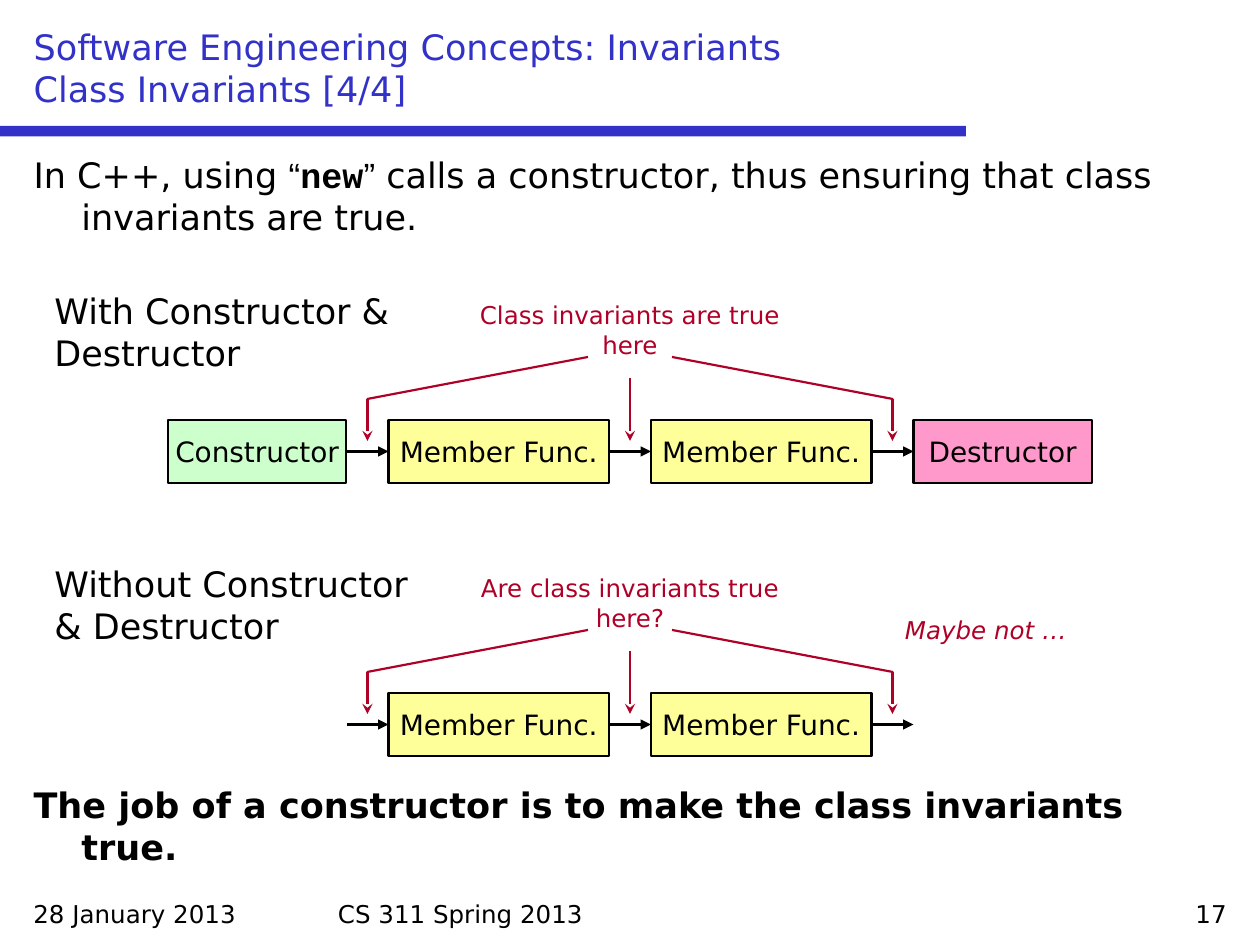
from collections import namedtuple
from dataclasses import dataclass

from lxml.etree import SubElement
from pptx import Presentation
from pptx.dml.color import RGBColor
from pptx.enum.shapes import MSO_CONNECTOR, MSO_SHAPE
from pptx.enum.text import MSO_ANCHOR, MSO_AUTO_SIZE, PP_ALIGN
from pptx.oxml.ns import qn
from pptx.util import Inches, Pt

CELL = Inches(1) / 12  # the slide is a grid of 120 columns by 90 rows
Box = namedtuple("Box", "left top width height")


@dataclass(frozen=True)
class Theme:
    font: str = "DejaVu Sans"
    quote_font: str = "Arial"
    code_font: str = "Courier New"
    heading: str = "3232C8"
    ink: str = "000000"
    accent: str = "AF0028"
    constructor: str = "CCFFCC"
    member: str = "FFFF99"
    destructor: str = "FF99CC"
    large: int = 20
    medium: int = 16
    small: int = 14
    line: float = 1.25


THEME = Theme()


def cells(*counts):
    return [round(count * CELL) for count in counts]


def style(span, size, color=THEME.ink, name=THEME.font, bold=False, italic=False):
    font = span.font
    font.name, font.size, font.bold, font.italic = name, Pt(size), bold, italic
    font.color.rgb = RGBColor.from_string(color)


def write(frame, text, size, color=THEME.ink, align=PP_ALIGN.LEFT, italic=False):
    frame.text = text
    para = frame.paragraphs[0]
    para.alignment = align
    for span in para.runs:
        style(span, size, color, italic=italic)


def add_text(page, box, text, size, **look):
    frame = page.shapes.add_textbox(*cells(*box)).text_frame
    frame.word_wrap = True
    write(frame, text, size, **look)


def set_line(shape, color):
    shape.line.color.rgb = RGBColor.from_string(color)
    shape.line.width = Pt(THEME.line)


def add_block(page, box, fill, text=""):
    shape = page.shapes.add_shape(MSO_SHAPE.RECTANGLE, *cells(*box))
    shape.shadow.inherit = False
    shape.fill.solid()
    shape.fill.fore_color.rgb = RGBColor.from_string(fill)
    if text:
        set_line(shape, THEME.ink)
        frame = shape.text_frame
        frame.word_wrap = False
        frame.vertical_anchor = MSO_ANCHOR.MIDDLE
        write(frame, text, THEME.medium, align=PP_ALIGN.CENTER)
    else:
        shape.line.fill.background()


def add_arrow(page, start, end, color, head):
    arrow = page.shapes.add_connector(MSO_CONNECTOR.STRAIGHT, *cells(*start, *end))
    set_line(arrow, color)
    SubElement(arrow.line._get_or_add_ln(), qn("a:tailEnd"), type=head)
    SubElement(arrow._element.spPr, qn("a:effectLst"))


def add_bend(page, points):
    start, *rest = [cells(*point) for point in points]
    builder = page.shapes.build_freeform(*start)
    builder.add_line_segments(rest, close=False)
    bend = builder.convert_to_shape()
    bend.shadow.inherit = False
    bend.fill.background()
    set_line(bend, THEME.accent)


def fill_header(page, box):
    # Title placeholder, with the rule below it
    title = page.shapes.title
    title.left, title.top, title.width, title.height = cells(*box)
    frame = title.text_frame
    frame.auto_size = MSO_AUTO_SIZE.NONE
    frame.vertical_anchor = MSO_ANCHOR.BOTTOM
    write(frame, "Software Engineering Concepts: Invariants\vClass Invariants [4/4]",
          THEME.large, THEME.heading)
    add_block(page, Box(0, box.top + box.height + 1, 92, 1), THEME.heading)


def fill_body(page, box):
    # Opening statement and conclusion, either side of the diagrams
    body = page.placeholders[1]
    body.left, body.top, body.width, body.height = cells(*box)
    frame = body.text_frame
    frame.auto_size = MSO_AUTO_SIZE.NONE
    opening = [
        ("In C++, using ", {}),
        ("“", {"name": THEME.quote_font}),
        ("new", {"name": THEME.code_font, "bold": True}),
        ("”", {"name": THEME.quote_font}),
        (" calls a constructor, thus ensuring that class invariants are true.", {}),
    ]
    closing = [("The job of a constructor is to make the class invariants true.",
                {"bold": True})]
    paras = [frame.paragraphs[0], frame.add_paragraph()]
    for para, spans, gap in zip(paras, (opening, closing), (0, 312)):
        properties = para._p.get_or_add_pPr()
        properties.set("marL", str(Inches(0.38)))
        properties.set("indent", str(Inches(-0.38)))
        para.space_before = Pt(gap)
        SubElement(properties, qn("a:buNone"))
        for text, look in spans:
            span = para.add_run()
            span.text = text
            style(span, THEME.large, **look)


def add_flow(page, box, label, label_width, note, with_ends):
    # Calls in sequence, with pointers to the moments between them
    left, top = box.left, box.top
    add_text(page, Box(left, top, label_width, 9.4), label, THEME.large)
    add_text(page, Box(left + 38, top + 1, 36, 7), note, THEME.small,
             color=THEME.accent, align=PP_ALIGN.CENTER)

    end_width, member_width, gap, height = 17, 21, 4, 6
    row = top + 13
    calls = [("Constructor", THEME.constructor, end_width),
             ("Member Func.", THEME.member, member_width),
             ("Member Func.", THEME.member, member_width),
             ("Destructor", THEME.destructor, end_width)]
    column = left + 12
    moments = []
    for index, (name, fill, width) in enumerate(calls):
        if with_ends or name == "Member Func.":
            add_block(page, Box(column, row, width, height), fill, name)
        column += width
        if index < len(calls) - 1:
            middle = row + height / 2
            add_arrow(page, (column, middle), (column + gap, middle),
                      THEME.ink, "triangle")
            moments.append(column + gap / 2)
        column += gap

    first, center, last = moments
    for moment, start in ((first, row - 2), (center, row - 4), (last, row - 2)):
        add_arrow(page, (moment, start), (moment, row + 2), THEME.accent, "stealth")
    for moment, start, drop in ((first, center - 4, 1), (last, center + 4, 0)):
        add_bend(page, [(start, row - 6), (moment, row - 2), (moment, row + drop)])


def add_footer(page, box):
    # Date, course and page number
    parts = [(0, 28, "28 January 2013", PP_ALIGN.LEFT),
             (29, 58, "CS 311 Spring 2013", PP_ALIGN.LEFT),
             (88, 28, "17", PP_ALIGN.RIGHT)]
    for offset, width, text, align in parts:
        add_text(page, Box(box.left + offset, box.top, width, box.height),
                 text, THEME.small, align=align)


def main():
    deck = Presentation()
    deck.slide_width, deck.slide_height = Inches(10), Inches(7.5)
    page = deck.slides.add_slide(deck.slide_layouts[1])

    fill_header(page, Box(2, 2, 116, 9))
    fill_body(page, Box(2, 14, 116, 70))
    add_flow(page, Box(4, 27, 100, 19), "With Constructor & Destructor", 38,
             "Class invariants are true\vhere", with_ends=True)
    add_flow(page, Box(4, 53, 100, 19), "Without Constructor & Destructor", 37,
             "Are class invariants true\vhere?", with_ends=False)
    add_text(page, Box(85, 58, 25, 4), "Maybe not …", THEME.small,
             color=THEME.accent, italic=True)
    add_footer(page, Box(2, 85, 116, 4))
    deck.save("out.pptx")


if __name__ == "__main__":
    main()
